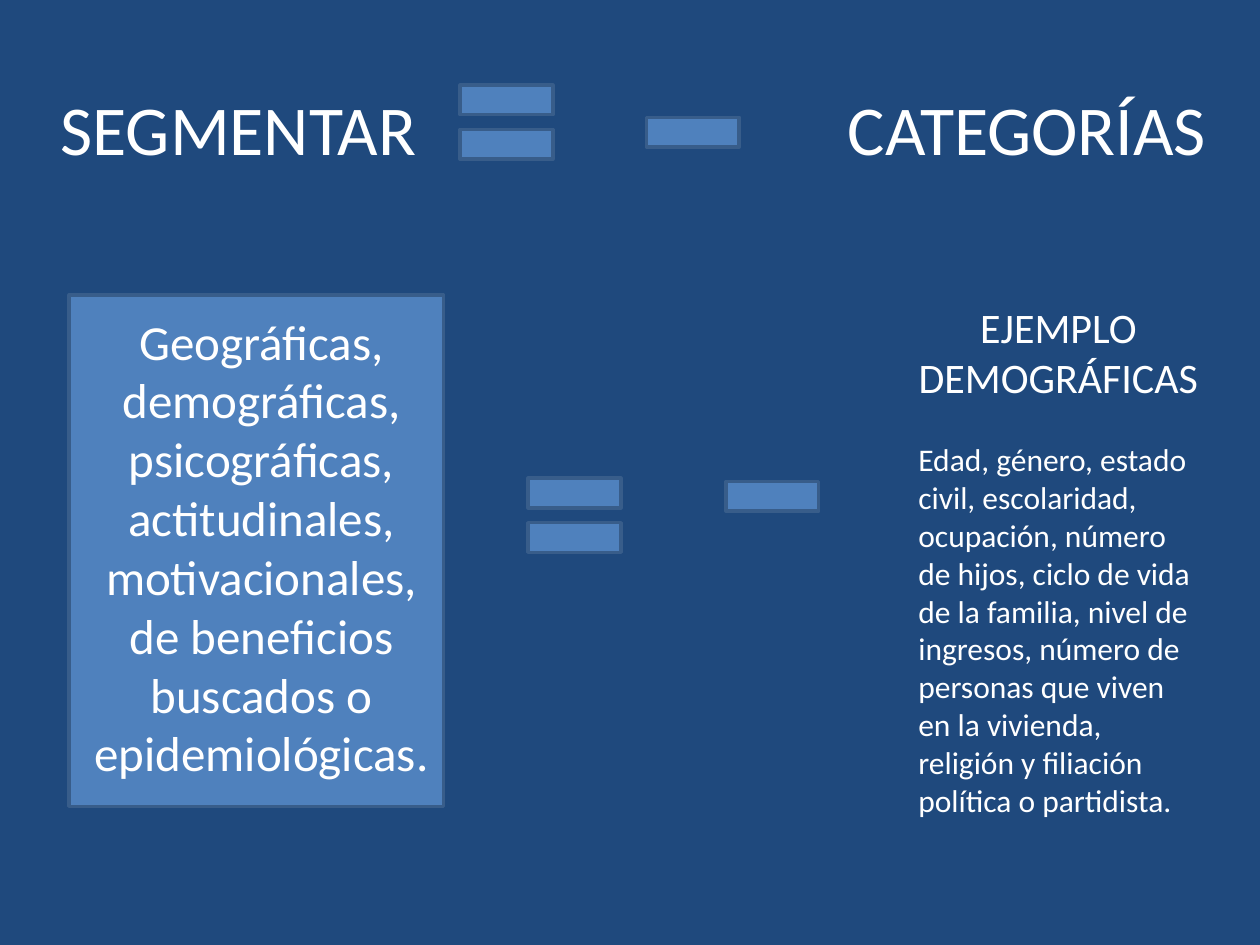
import pptx
import pptx.util
import pptx.dml.color
import pptx.enum.shapes
import pptx.enum.text

Inches, Pt = pptx.util.Inches, pptx.util.Pt
RGBColor = pptx.dml.color.RGBColor
SHAPE = pptx.enum.shapes.MSO_SHAPE
ALIGN = pptx.enum.text.PP_ALIGN

NAVY = RGBColor(0x1F, 0x49, 0x7D)
BLUE = RGBColor(0x4F, 0x81, 0xBD)
EDGE = RGBColor(0x38, 0x5D, 0x8A)
WHITE = RGBColor(0xFF, 0xFF, 0xFF)

CATEGORIES = ("Geográficas, demográficas, psicográficas, actitudinales, "
              "motivacionales, de beneficios buscados o epidemiológicas.")
DEMOGRAPHICS = ("Edad, género, estado civil, escolaridad, ocupación, número "
                "de hijos, ciclo de vida de la familia, nivel de ingresos, "
                "número de personas que viven en la vivienda, religión y "
                "filiación política o partidista.")


def write(paragraph, text, size, align=ALIGN.LEFT, before=0):
    """Put formatted text into a paragraph."""
    paragraph.alignment = align
    paragraph.space_before = Pt(before)
    run = paragraph.add_run()
    run.text = text
    run.font.name = "Calibri"
    run.font.size = Pt(size)
    run.font.color.rgb = WHITE


def prepare_frame(box, wrap):
    frame = box.text_frame
    frame.word_wrap = wrap
    frame.auto_size = pptx.enum.text.MSO_AUTO_SIZE.SHAPE_TO_FIT_TEXT
    frame.vertical_anchor = pptx.enum.text.MSO_ANCHOR.TOP
    return frame


def add_text_box(slide, left, top, width, height, wrap=True):
    box = slide.shapes.add_textbox(
        Inches(left), Inches(top), Inches(width), Inches(height))
    return prepare_frame(box, wrap)


def add_blue_shape(slide, kind, left, top, width=1, height=1):
    shape = slide.shapes.add_shape(
        kind, Inches(left), Inches(top), Inches(width), Inches(height))
    shape.shadow.inherit = False
    shape.fill.solid()
    shape.fill.fore_color.rgb = BLUE
    shape.line.color.rgb = EDGE
    shape.line.width = Pt(2)


def set_title(slide, text, left, top, width, height):
    title = slide.shapes.title
    title.left, title.top = Inches(left), Inches(top)
    title.width, title.height = Inches(width), Inches(height)
    write(prepare_frame(title, False).paragraphs[0], text, 40)


def main():
    deck = pptx.Presentation()
    deck.slide_width, deck.slide_height = Inches(10), Inches(7.5)
    slide = deck.slides.add_slide(deck.slide_layouts[5])
    slide.background.fill.solid()
    slide.background.fill.fore_color.rgb = NAVY

    # Heading row
    set_title(slide, "SEGMENTAR", 0.38, 0.63, 3.07, 0.77)
    heading = add_text_box(slide, 6.63, 0.63, 3.09, 0.77, wrap=False)
    write(heading.paragraphs[0], "CATEGORÍAS", 40)

    # Category panel
    add_blue_shape(slide, SHAPE.RECTANGLE, 0.55, 2.34, 2.97, 4.06)
    panel = add_text_box(slide, 0.63, 2.42, 2.89, 3.84)
    write(panel.paragraphs[0], CATEGORIES, 28, ALIGN.CENTER)

    # Equal and minus signs of both rows
    for kind, left, top in ((SHAPE.MATH_EQUAL, 3.52, 0.47),
                            (SHAPE.MATH_MINUS, 5, 0.55),
                            (SHAPE.MATH_EQUAL, 4.06, 3.59),
                            (SHAPE.MATH_MINUS, 5.63, 3.44)):
        add_blue_shape(slide, kind, left, top)

    # Demographic example
    example = add_text_box(slide, 7.19, 2.34, 2.42, 4.5)
    write(example.paragraphs[0], "EJEMPLO", 24, ALIGN.CENTER)
    write(example.add_paragraph(), "DEMOGRÁFICAS", 24, ALIGN.CENTER)
    write(example.add_paragraph(), DEMOGRAPHICS, 18, before=22)

    deck.save("out.pptx")


main()
